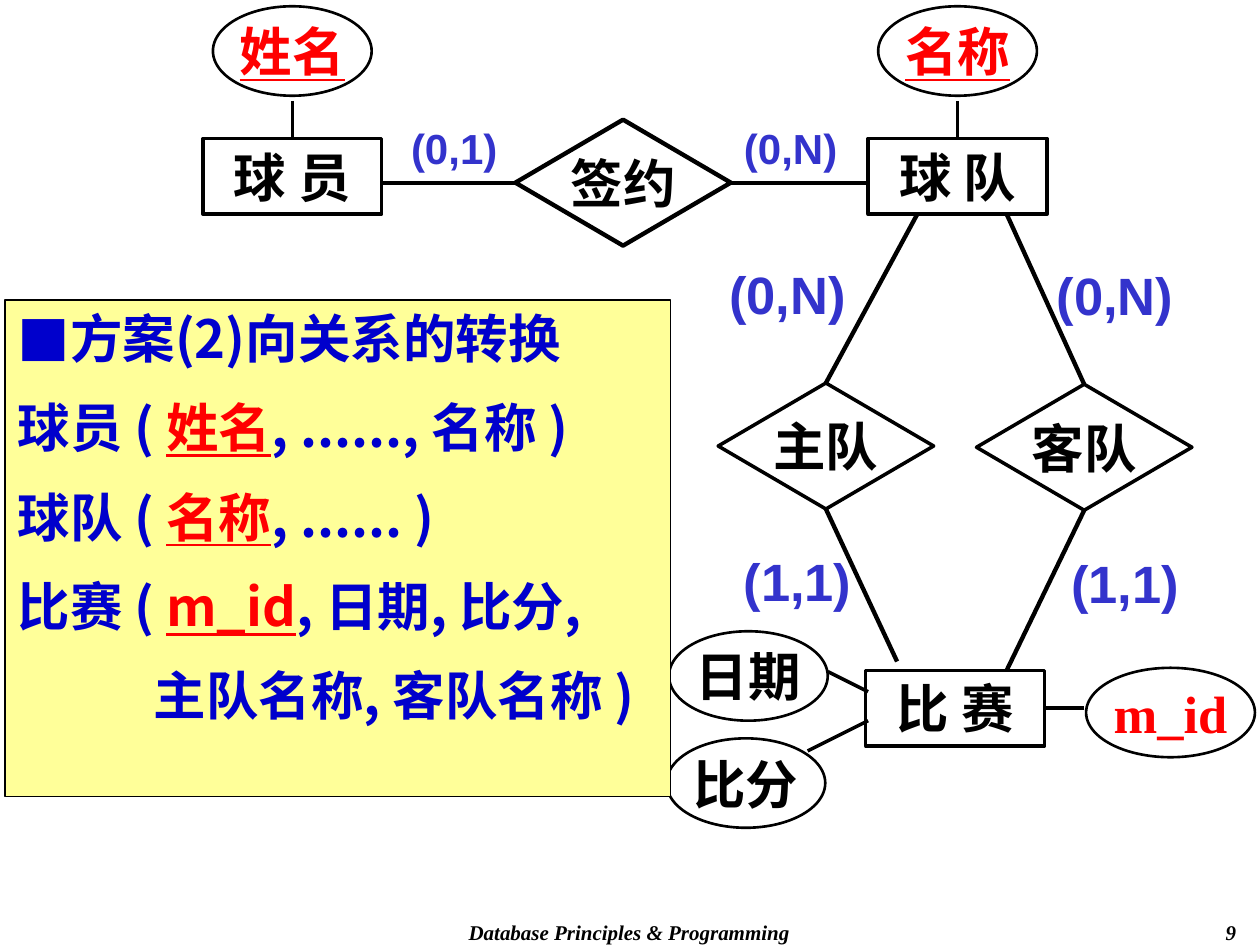
from lxml import etree
from pptx import Presentation
from pptx.dml.color import RGBColor
from pptx.enum.shapes import MSO_CONNECTOR, MSO_SHAPE
from pptx.enum.text import MSO_ANCHOR, MSO_AUTO_SIZE, PP_ALIGN
from pptx.oxml.ns import qn
from pptx.util import Inches, Pt

RECT, OVAL, GEM = MSO_SHAPE.RECTANGLE, MSO_SHAPE.OVAL, MSO_SHAPE.DIAMOND
LINE = MSO_CONNECTOR.STRAIGHT
TOP_SIDE, LEFT_SIDE, LOW_SIDE, RIGHT_SIDE = range(4)
LEFT, MID, RIGHT = PP_ALIGN.LEFT, PP_ALIGN.CENTER, PP_ALIGN.RIGHT
TOP, CORE = MSO_ANCHOR.TOP, MSO_ANCHOR.MIDDLE
FIXED = MSO_AUTO_SIZE.NONE
BLACK = RGBColor(0, 0, 0)
RED = RGBColor(0xFF, 0, 0)
BLUE = RGBColor(0, 0, 0xCC)
VIOLET = RGBColor(0x33, 0x33, 0xCC)
YELLOW = RGBColor(0xFF, 0xFF, 0x99)
SERIF, SANS, HAN = "Times New Roman", "Arial", "Noto Sans CJK SC"
COLS, ROWS = 100, 75
CELL = Inches(0.1)


def grid(*cells):
    return [round(n * CELL) for n in cells]


def add_run(para, text, color=BLACK, size=30, face=SERIF, under=False, slant=False):
    run = para.add_run()
    run.text = text
    font = run.font
    font.size, font.name, font.bold = Pt(size), face, True
    font.italic, font.underline = slant, under
    font.color.rgb = color
    etree.SubElement(font._element, qn("a:ea"), typeface=HAN)


def set_frame(frame, pad_x=0, pad_y=0, anchor=CORE, wrap=True):
    frame.auto_size, frame.word_wrap = FIXED, wrap
    frame.vertical_anchor = anchor
    frame.margin_left = frame.margin_right = Inches(pad_x)
    frame.margin_top = frame.margin_bottom = Inches(pad_y)


def add_node(slide, kind, box, text, color=BLACK, weight=2, under=False):
    node = slide.shapes.add_shape(kind, *grid(*box))
    node.shadow.inherit = False
    node.fill.background()
    node.line.color.rgb, node.line.width = BLACK, Pt(weight)
    if kind == RECT:
        set_frame(node.text_frame, 0.1, 0.05, TOP)
    else:
        set_frame(node.text_frame, wrap=False)
    para = node.text_frame.paragraphs[0]
    para.alignment = MID
    add_run(para, text, color, under=under)
    return node


def add_text(slide, box, text, color, size, face=SERIF, align=MID, pads=(0, 0),
             anchor=CORE, slant=False):
    label = slide.shapes.add_textbox(*grid(*box))
    set_frame(label.text_frame, *pads, anchor)
    para = label.text_frame.paragraphs[0]
    para.alignment = align
    add_run(para, text, color, size, face, slant=slant)


def add_line(slide, start, end, weight=2, head=None, tail=None):
    line = slide.shapes.add_connector(LINE, *grid(*start, *end))
    line.line.color.rgb, line.line.width = BLACK, Pt(weight)
    etree.SubElement(line._element.spPr, qn("a:effectLst"))
    if head:
        line.begin_connect(*head)
    if tail:
        line.end_connect(*tail)


def add_entity(slide, x, y, name, key):
    add_node(slide, OVAL, (x + 0.8, y, 12.6, 7.1), key, RED, 1.5, True)
    rect = add_node(slide, RECT, (x, y + 10.5, 14.2, 6), name)
    add_line(slide, (x + 7.1, y + 7.5), (x + 7.1, y + 10.5), tail=(rect, TOP_SIDE))


def add_deal(slide, x, y, w):
    gem = add_node(slide, GEM, (x + 10.5, y, 17.1, 10), "签约", weight=2.5)
    for left, text in ((1.9, "(0,1)"), (28.6, "(0,N)")):
        add_text(slide, (x + left, y + 0.2, 7.5, 4), text, VIOLET, 24, SANS)
    for end, side in ((x, LEFT_SIDE), (x + w, RIGHT_SIDE)):
        add_line(slide, (end, y + 5), (end, y + 5), 2.5, tail=(gem, side))


def add_role(slide, x, y, name, shift, upper, lower):
    gem = add_node(slide, GEM, (x, y + 13.4, 17.1, 10), name)
    for end, side in ((upper, TOP_SIDE), (lower, LOW_SIDE)):
        add_line(slide, end, end, 2.5, tail=(gem, side))
    for dx, dy, text in ((0, 3.8, "(0,N)"), (0.8, 26.6, "(1,1)")):
        add_text(slide, (x + shift + dx, y + dy, 9.4, 5), text, VIOLET, 30, SANS)


def add_match(slide, x, y):
    rect = add_node(slide, RECT, (x + 15.8, y + 3.1, 14.2, 6), "比 赛")
    add_node(slide, OVAL, (x + 33.3, y + 2.9, 13.4, 7.1), "m_id", RED, 1.5)
    add_line(slide, (x + 30, y + 6.1), (x + 33.1, y + 6.1), head=(rect, RIGHT_SIDE))
    for dx, dy, text in ((0.2, 0, "日期"), (0, 8.5, "比分")):
        add_node(slide, OVAL, (x + dx, y + dy, 12.6, 7.1), text, weight=1.5)
    add_line(slide, (x + 12.8, y + 3.2), (x + 16, y + 4.8))
    add_line(slide, (x + 11.2, y + 9.5), (x + 16, y + 7.1))


def set_bullet(para, left, hang, mark=None):
    props = para._p.get_or_add_pPr()
    props.set("marL", str(Inches(left)))
    props.set("indent", str(Inches(hang)))
    if mark:
        tint = etree.SubElement(props, qn("a:buClr"))
        etree.SubElement(tint, qn("a:srgbClr"), val=str(BLUE))
        etree.SubElement(props, qn("a:buFont"), typeface=HAN)
        etree.SubElement(props, qn("a:buChar"), char=mark)
    else:
        etree.SubElement(props, qn("a:buNone"))


def add_panel(slide, x, y, w, h):
    body = slide.placeholders[1]
    body.left, body.top, body.width, body.height = grid(x, y, w, h)
    body.fill.solid()
    body.fill.fore_color.rgb = YELLOW
    body.line.color.rgb, body.line.width = BLACK, Pt(0.75)
    frame = body.text_frame
    set_frame(frame, 0.1, 0.05, TOP)
    items = (
        (0.36, -0.36, "■", ("方案(2)向关系的转换",)),
        (0, 0, None, ("球员 ( ", "姓名", ", ......, 名称 )")),
        (0, 0, None, ("球队 ( ", "名称", ", ...... )")),
        (1.23, -1.23, None, ("比赛 ( ", "m_id", ", 日期, 比分,")),
        (1.23, -0.15, None, ("主队名称, 客队名称 )",)),
    )
    for row, (left, hang, mark, parts) in enumerate(items):
        para = frame.add_paragraph() if row else frame.paragraphs[0]
        set_bullet(para, left, hang, mark)
        para.alignment = LEFT
        para.space_before = Pt(15 if row else 0)
        for i, part in enumerate(parts):
            key = i == 1
            add_run(para, part, RED if key else BLUE, face=HAN, under=key)
    slide.shapes._spTree.append(body._element)


def add_foot(slide, y, h):
    for x, w, text, align in (
        (28.3, 43.3, "Database Principles & Programming", MID),
        (78.3, 20.8, "9", RIGHT),
    ):
        add_text(slide, (x, y, w, h), text, BLACK, 12, align=align,
                 pads=(0.1, 0.05), anchor=TOP, slant=True)


def main():
    deck = Presentation()
    deck.slide_width, deck.slide_height = grid(COLS, ROWS)
    slide = deck.slides.add_slide(deck.slide_layouts[1])
    title = slide.shapes.title._element
    title.getparent().remove(title)
    add_foot(slide, 72.5, 2.5)
    add_entity(slide, 16.1, 0.5, "球 员", "姓名")
    add_entity(slide, 68.9, 0.5, "球 队", "名称")
    add_deal(slide, 30.4, 9.5, 38.5)
    add_match(slide, 52.9, 50.1)
    add_role(slide, 77.5, 17.1, "客队", 6.3, (79.9, 17), (79.9, 53.2))
    add_role(slide, 57, 17, "主队", 0.8, (72.8, 17), (71.2, 52.5))
    add_panel(slide, 0.4, 23.8, 52.8, 39.4)
    deck.save("out.pptx")


if __name__ == "__main__":
    main()
